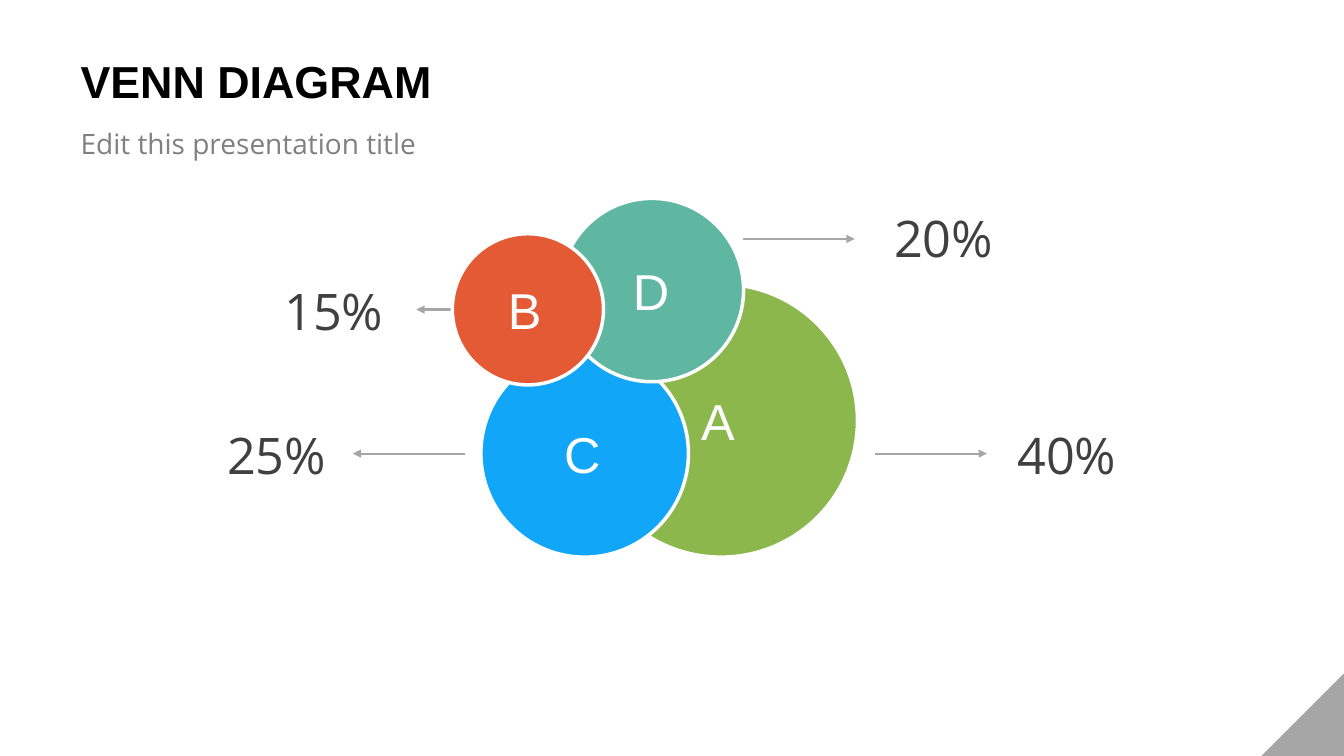
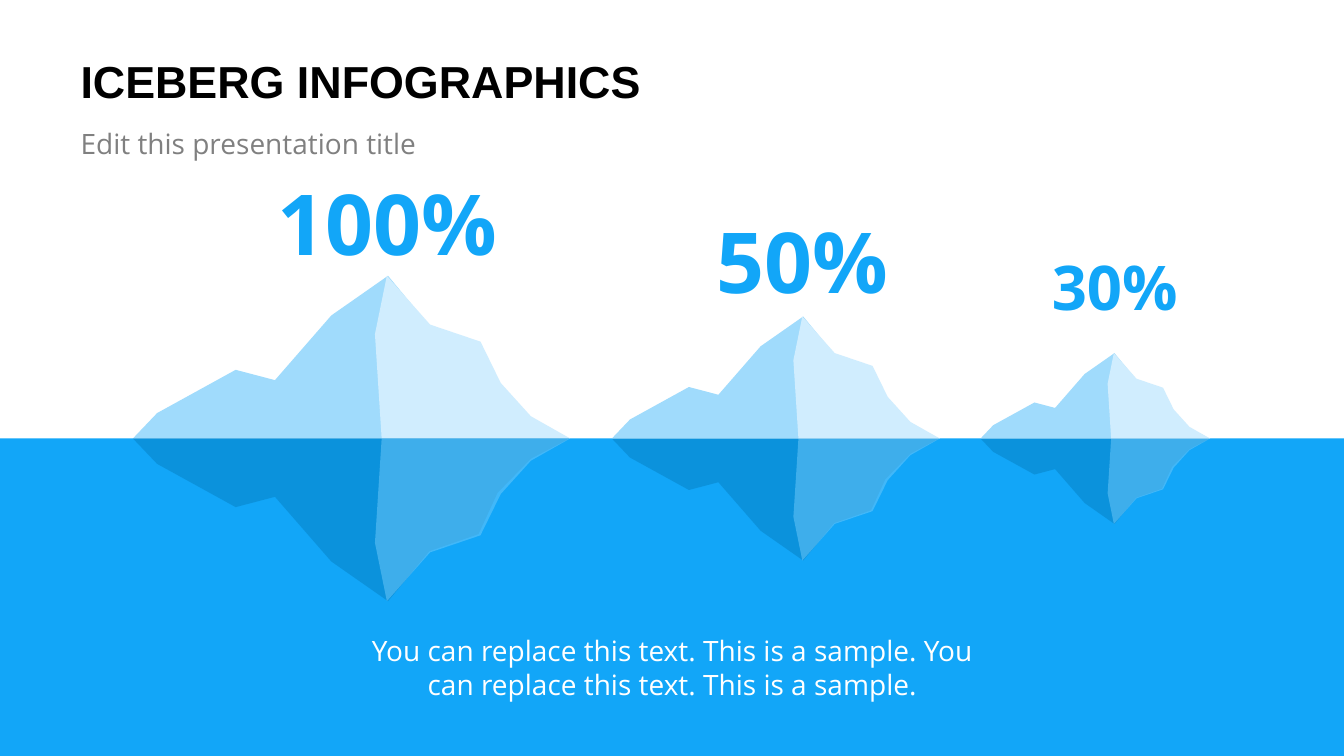
"""Build two infographic slides: a Venn diagram and a row of icebergs."""
from lxml import etree
from pptx import Presentation
from pptx import util as u
from pptx.dml.color import RGBColor
from pptx.enum import shapes, text
from pptx.oxml import ns

BLACK = RGBColor(0x00, 0x00, 0x00)
WHITE = RGBColor(0xFF, 0xFF, 0xFF)
DARK_GRAY = RGBColor(0x40, 0x40, 0x40)
MID_GRAY = RGBColor(0x80, 0x80, 0x80)
LIGHT_GRAY = RGBColor(0xA6, 0xA6, 0xA6)
GREEN = RGBColor(0x8B, 0xB7, 0x4C)
BLUE = RGBColor(0x12, 0xA6, 0xF8)
TEAL = RGBColor(0x5F, 0xB7, 0xA2)
ORANGE = RGBColor(0xE3, 0x5A, 0x35)
ICE = RGBColor(0xA0, 0xDB, 0xFC)
ICE_LIGHT = RGBColor(0xD0, 0xED, 0xFE)
DEEP_ICE = RGBColor(0x06, 0x7F, 0xC2)
DEEP_ICE_LIGHT = RGBColor(0x71, 0xCA, 0xFB)

HEADING_FONT = "Arial"
BODY_FONT = "Open Sans"
SLIDE_WIDTH, SLIDE_HEIGHT = 33.87, 19.05


def add_text(slide, words, box, size, color, font=BODY_FONT, bold=False,
             align=text.PP_ALIGN.CENTER, anchor=text.MSO_ANCHOR.MIDDLE,
             wrap=True, margin=0.25):
    """Add a one-paragraph text box; box is left, top, width, height in cm."""
    frame = slide.shapes.add_textbox(*(u.Cm(length) for length in box)).text_frame
    frame.word_wrap = wrap
    frame.vertical_anchor = anchor
    frame.margin_left = frame.margin_right = u.Cm(margin)
    frame.text = words
    paragraph = frame.paragraphs[0]
    paragraph.alignment = align
    run_font = paragraph.runs[0].font
    run_font.name, run_font.size, run_font.bold = font, u.Pt(size), bold
    run_font.color.rgb = color


def paint(shape, color, alpha=None):
    """Give a shape a plain fill without line or shadow; alpha is a percentage."""
    shape.shadow.inherit = False
    shape.line.fill.background()
    shape.fill.solid()
    shape.fill.fore_color.rgb = color
    if alpha is not None:
        fill_color = shape._element.spPr.find(".//" + ns.qn("a:srgbClr"))
        etree.SubElement(fill_color, ns.qn("a:alpha"), val=str(alpha * 1000))


presentation = Presentation()
presentation.slide_width = u.Cm(SLIDE_WIDTH)
presentation.slide_height = u.Cm(SLIDE_HEIGHT)
blank_layout = presentation.slide_layouts[6]

slides = []
for title in ("VENN DIAGRAM", "ICEBERG INFOGRAPHICS"):
    slide = presentation.slides.add_slide(blank_layout)
    add_text(slide, title, (1.7, 1.04, 21.6, 1.98), 32, BLACK, HEADING_FONT,
             bold=True, align=text.PP_ALIGN.LEFT, margin=0.33)
    add_text(slide, "Edit this presentation title", (1.7, 3.07, 11, 1.42), 20,
             MID_GRAY, align=text.PP_ALIGN.LEFT, anchor=text.MSO_ANCHOR.TOP,
             margin=0.33)
    slides.append(slide)
venn_slide, iceberg_slide = slides

CORNER = 2.08
corner = venn_slide.shapes.add_shape(
    shapes.MSO_SHAPE.RIGHT_TRIANGLE, u.Cm(SLIDE_WIDTH - CORNER),
    u.Cm(SLIDE_HEIGHT - CORNER), u.Cm(CORNER), u.Cm(CORNER))
corner._element.spPr.xfrm.set("flipH", "1")
paint(corner, LIGHT_GRAY)

callouts = [
    ("40%", 25.12, 10.46, 22.05, 24.87, 11.43),
    ("25%", 5.21, 10.46, 11.73, 8.89, 11.43),
    ("15%", 6.65, 6.83, 13.31, 10.49, 7.8),
    ("20%", 22.02, 5, 18.72, 21.54, 6.02),
]
for value, left, top, arrow_start, arrow_end, arrow_y in callouts:
    add_text(venn_slide, value, (left, top, 3.53, 1.98), 36, DARK_GRAY)
    arrow = venn_slide.shapes.add_connector(
        shapes.MSO_CONNECTOR.STRAIGHT, u.Cm(arrow_start), u.Cm(arrow_y),
        u.Cm(arrow_end), u.Cm(arrow_y))
    arrow.line.color.rgb = LIGHT_GRAY
    arrow.line.width = u.Pt(1.5)
    etree.SubElement(arrow.line._get_or_add_ln(), ns.qn("a:tailEnd"), type="triangle")
    etree.SubElement(arrow._element.spPr, ns.qn("a:effectLst"))

circles = [
    ("A", GREEN, 14.73, 7.16, 6.88, 17.42, 9.6),
    ("C", BLUE, 12.12, 8.81, 5.23, 13.97, 10.44),
    ("D", TEAL, 14.12, 5, 4.62, 15.7, 6.32),
    ("B", ORANGE, 11.4, 5.89, 3.81, 12.55, 6.81),
]
for letter, color, left, top, diameter, letter_left, letter_top in circles:
    circle = venn_slide.shapes.add_shape(
        shapes.MSO_SHAPE.OVAL, u.Cm(left), u.Cm(top), u.Cm(diameter), u.Cm(diameter))
    paint(circle, color)
    circle.line.color.rgb = WHITE
    circle.line.width = u.Pt(2.5)
    add_text(venn_slide, letter, (letter_left, letter_top, 1.6, 1.98), 36, WHITE,
             HEADING_FONT, align=text.PP_ALIGN.LEFT, wrap=False)

SEA_TOP = 11.05
sea = iceberg_slide.shapes.add_shape(
    shapes.MSO_SHAPE.RECTANGLE, 0, u.Cm(SEA_TOP), u.Cm(SLIDE_WIDTH),
    u.Cm(SLIDE_HEIGHT - SEA_TOP))
paint(sea, BLUE)

BERG_OUTLINE = [
    (0, 0), (0.61, 0.64), (2.59, 1.73), (3.58, 1.47), (5, 3.1), (6.43, 4.1),
    (7.47, 2.84), (8.71, 2.41), (9.19, 1.37), (10.03, 0.51), (11, 0),
]
BERG_BRIGHT_SIDE = [
    (6.27, 0), (6.1, 2.63), (6.4, 4.1), (7.49, 2.87), (8.76, 2.44),
    (9.27, 1.4), (10.03, 0.56), (11.02, 0),
]
berg_parts = [
    (BERG_OUTLINE, -1, ICE, None),
    (BERG_BRIGHT_SIDE, -1, ICE_LIGHT, None),
    (BERG_OUTLINE, 1, DEEP_ICE, 50),
    (BERG_BRIGHT_SIDE, 1, DEEP_ICE_LIGHT, 50),
]
icebergs = [
    ("100%", 3.35, 1, 60, (6.71, 4.19, 6.1, 2.82)),
    ("50%", 15.42, 0.75, 60, (17.78, 5.13, 4.88, 2.82)),
    ("30%", 24.71, 0.525, 44, (26.24, 6.15, 3.71, 2.13)),
]
for value, left, scale, size, value_box in icebergs:
    for outline, direction, color, alpha in berg_parts:
        points = [(u.Cm(left + scale * x), u.Cm(SEA_TOP + direction * scale * y))
                  for x, y in outline]
        builder = iceberg_slide.shapes.build_freeform(*points[0])
        builder.add_line_segments(points[1:], close=True)
        paint(builder.convert_to_shape(), color, alpha)
    add_text(iceberg_slide, value, value_box, size, BLUE, bold=True, wrap=False)

add_text(iceberg_slide,
         "You can replace this text. This is a sample. "
         "You can replace this text. This is a sample.",
         (8.46, 15.85, 16.97, 1.96), 20, WHITE, anchor=text.MSO_ANCHOR.TOP)

presentation.save("out.pptx")
